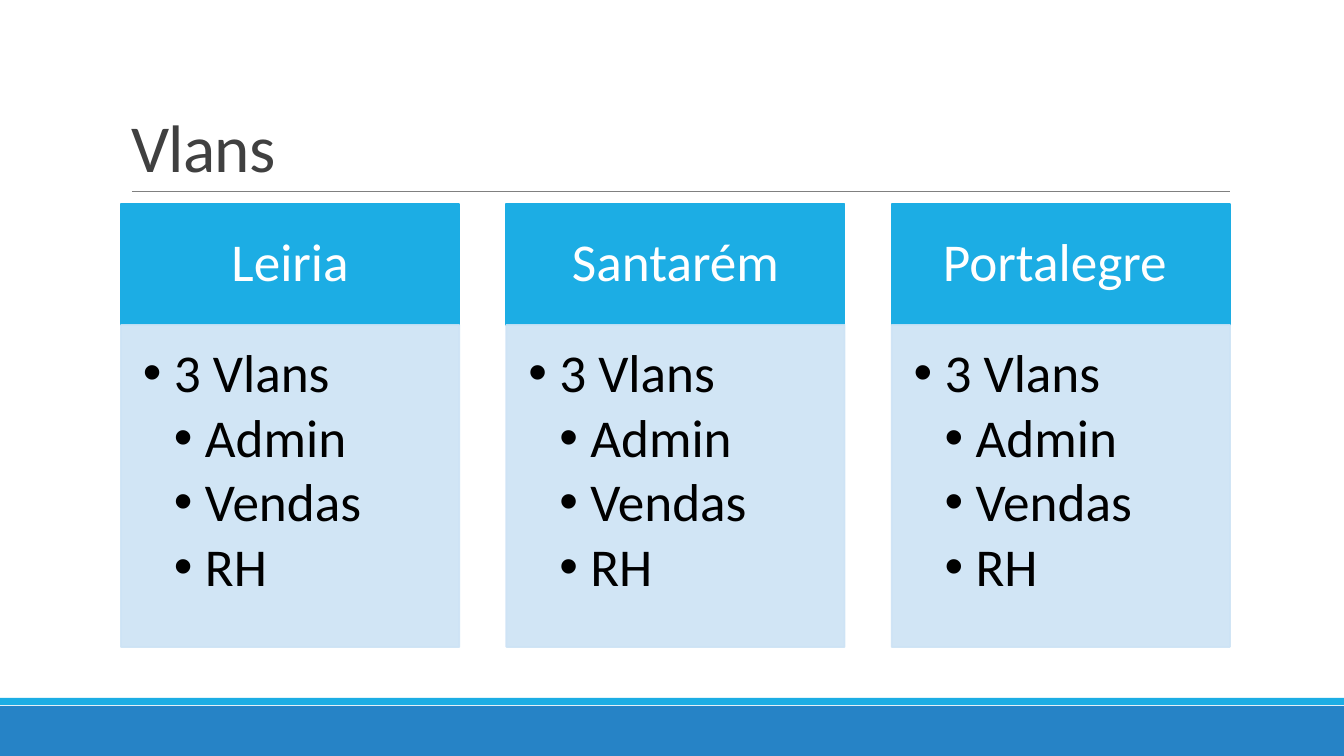
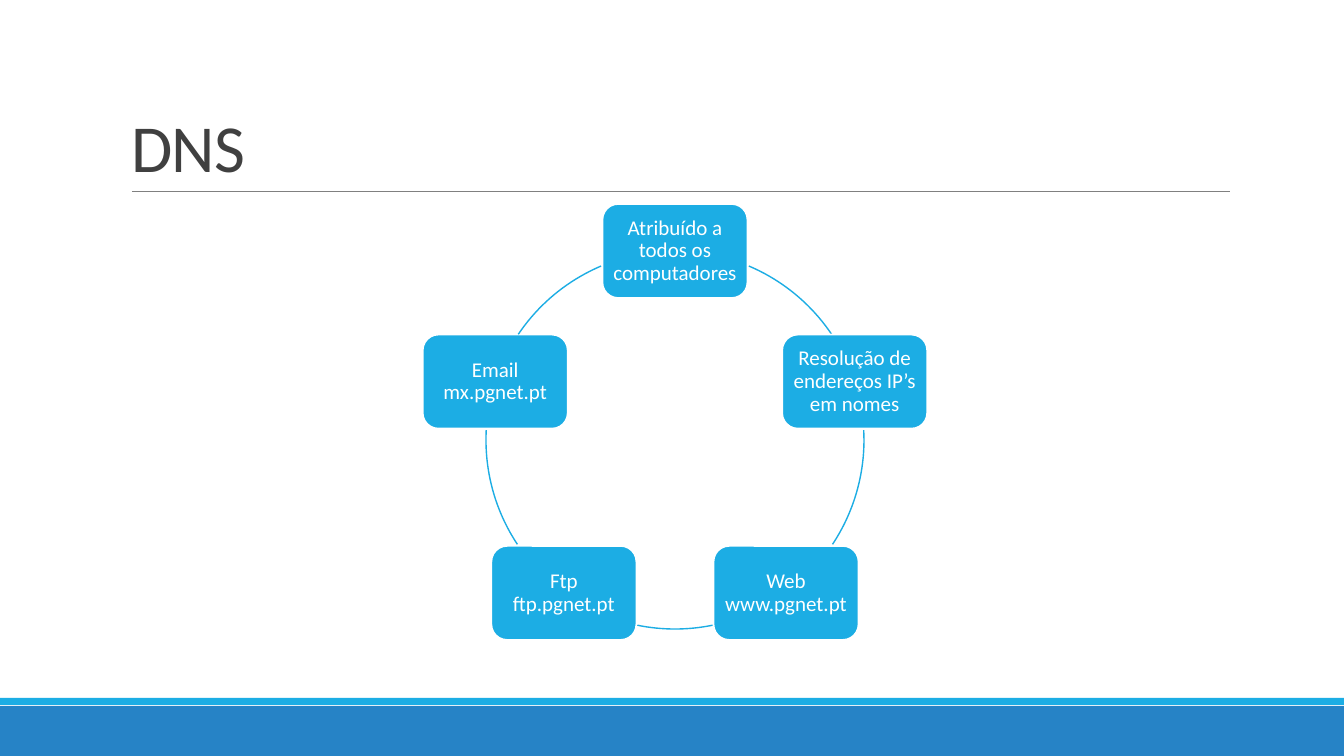
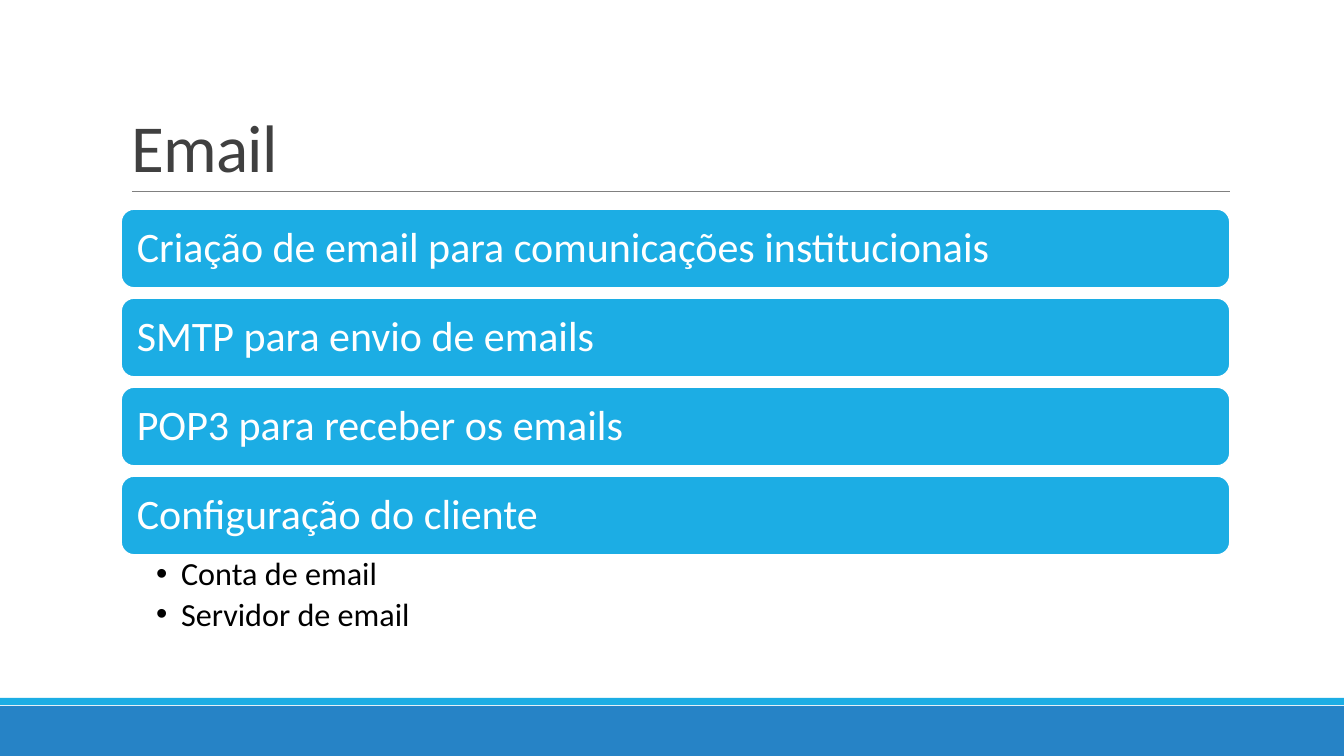
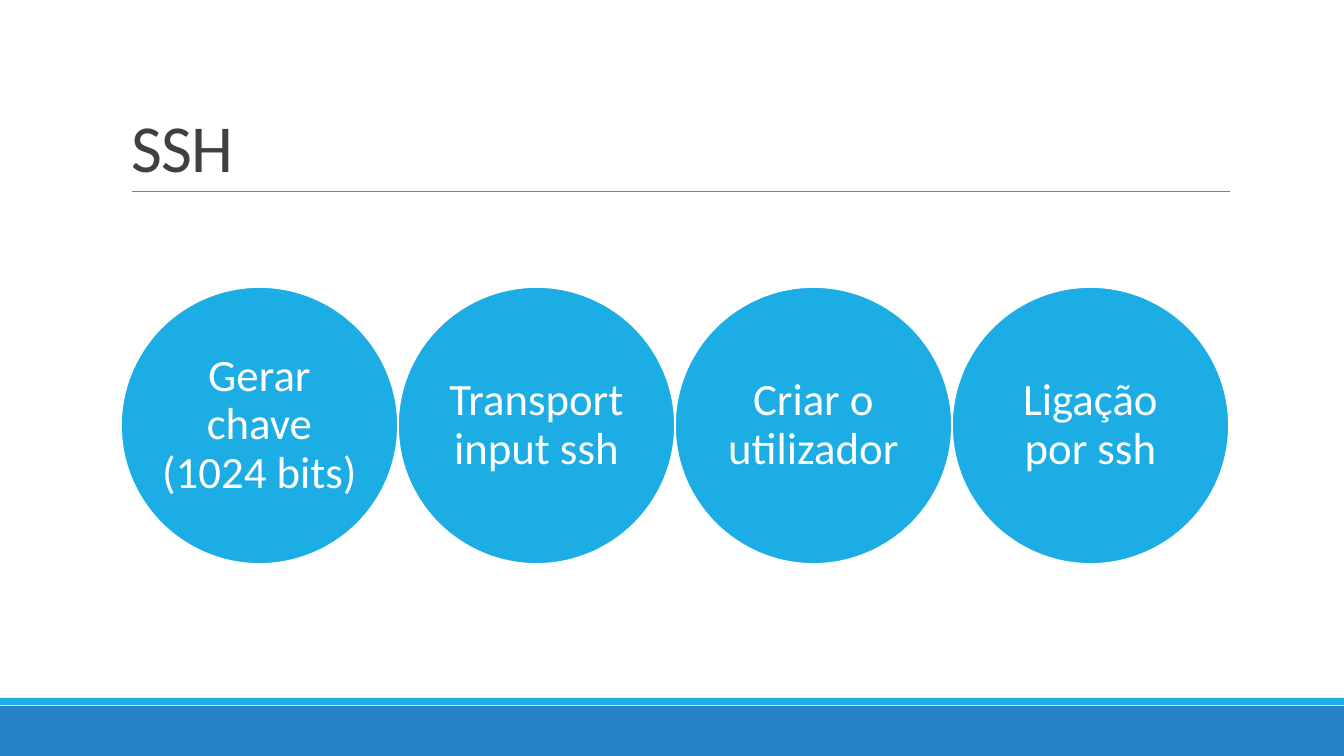
from math import cos, radians, sin

from lxml.etree import SubElement
from pptx import Presentation
from pptx.dml.color import RGBColor
from pptx.enum.shapes import MSO_CONNECTOR, MSO_SHAPE
from pptx.enum.text import MSO_ANCHOR, MSO_AUTO_SIZE, PP_ALIGN
from pptx.oxml import parse_xml
from pptx.oxml.ns import nsdecls, qn
from pptx.util import Pt

PX = 914400 / 100.8
FONT = "Calibri"
COLORS = {
    "accent": "1CADE4",
    "band": "2683C6",
    "panel": "CDE3F5",
    "rule": "808080",
    "title": "404040",
    "white": "FFFFFF",
    "black": "000000",
}
TITLE_AND_CONTENT, TITLE_ONLY = 1, 5


def px(n):
    return round(n * PX)


def rgb(name):
    return RGBColor.from_string(COLORS[name])


def place(sp, x, y, w, h):
    sp.left, sp.top, sp.width, sp.height = px(x), px(y), px(w), px(h)


def add_box(slide, kind, box, fill=None, line=None, width=1.25):
    sp = slide.shapes.add_shape(kind, *map(px, box))
    sp.shadow.inherit = False
    if fill:
        sp.fill.solid()
        sp.fill.fore_color.rgb = rgb(fill)
    else:
        sp.fill.background()
    if line:
        sp.line.color.rgb = rgb(line)
        sp.line.width = Pt(width)
    else:
        sp.line.fill.background()
    return sp


def set_frame(sp, insets, anchor):
    tf = sp.text_frame
    tf.word_wrap = True
    tf.auto_size = MSO_AUTO_SIZE.NONE
    tf.vertical_anchor = anchor
    tf.margin_left, tf.margin_top, tf.margin_right, tf.margin_bottom = map(px, insets)
    return tf


def write(p, text, size, color, align=PP_ALIGN.LEFT, after=0):
    p.alignment = align
    p.line_spacing = 0.9
    p.space_before = Pt(0)
    p.space_after = Pt(after)
    r = p.add_run()
    r.text = text
    r.font.name = FONT
    r.font.size = Pt(size)
    r.font.color.rgb = rgb(color)


def add_label(sp, text, size, inset, align=PP_ALIGN.CENTER):
    tf = set_frame(sp, [inset] * 4, MSO_ANCHOR.MIDDLE)
    write(tf.paragraphs[0], text, size, "white", align)


def add_bullets(sp, items, size, insets, indent, after):
    tf = set_frame(sp, insets, MSO_ANCHOR.TOP)
    for i, (level, text) in enumerate(items):
        p = tf.add_paragraph() if i else tf.paragraphs[0]
        write(p, text, size, "black", after=after)
        p.level = level
        pPr = p._p.get_or_add_pPr()
        pPr.set("marL", str(px(indent * (level + 1))))
        pPr.set("indent", str(-px(indent)))
        SubElement(pPr, qn("a:buFont"), typeface="Arial")
        SubElement(pPr, qn("a:buChar"), char="•")


def set_alpha(sp, percent):
    for color in sp.element.spPr.iter(qn("a:srgbClr")):
        SubElement(color, qn("a:alpha"), val=str(percent * 1000))


def style_master(prs, slide):
    master = prs.slide_master
    title = master.placeholders[0]
    place(title, 121, 31, 1109, 160)
    title.text_frame.vertical_anchor = MSO_ANCHOR.BOTTOM
    style = master.element.find(".//" + qn("p:titleStyle"))
    style.replace(style.find(qn("a:lvl1pPr")), parse_xml(
        f'<a:lvl1pPr {nsdecls("a")} algn="l"><a:lnSpc><a:spcPct val="85000"/></a:lnSpc>'
        '<a:spcBef><a:spcPts val="0"/></a:spcBef><a:buNone/>'
        '<a:defRPr sz="4800" spc="-50"><a:solidFill>'
        f'<a:srgbClr val="{COLORS["title"]}"/></a:solidFill>'
        f'<a:latin typeface="{FONT}"/></a:defRPr></a:lvl1pPr>'))

    band = add_box(slide, MSO_SHAPE.RECTANGLE, (0, 706, 1344, 50), "band")
    stripe = add_box(slide, MSO_SHAPE.RECTANGLE, (0, 698, 1344, 7), "accent")
    rule = slide.shapes.add_connector(
        MSO_CONNECTOR.STRAIGHT, px(132), px(191), px(1230), px(191))
    rule.line.color.rgb = rgb("rule")
    rule.line.width = Pt(0.5)
    SubElement(rule.element.spPr, qn("a:effectLst"))
    for i, part in enumerate((band, stripe, rule)):
        master.shapes.element.insert(2 + i, part.element)


def add_slide(prs, title, layout=TITLE_ONLY):
    slide = prs.slides.add_slide(prs.slide_layouts[layout])
    slide.shapes.title.text_frame.paragraphs[0].add_run().text = title
    return slide


def add_columns(slide, box, columns, items, gap=47, head=121):
    x, y, w, h = box
    col_w = (w - gap * (len(columns) - 1)) / len(columns)
    for i, name in enumerate(columns):
        left = x + i * (col_w + gap)
        header = add_box(slide, MSO_SHAPE.RECTANGLE, (left, y, col_w, head), "accent", "accent")
        add_label(header, name, 38, 17)
        panel = add_box(slide, MSO_SHAPE.RECTANGLE,
                        (left, y + head, col_w, h - head), "panel", "panel")
        set_alpha(panel, 90)
        add_bullets(panel, items, 38, (22, 22, 30, 33), 31, 5)


def add_cycle(slide, center, radius, labels, arcs, node_w=145, node_h=94):
    cx, cy = center
    for i, (label, (start, end)) in enumerate(zip(labels, arcs)):
        angle = radians(360 / len(labels) * i - 90)
        x = cx + radius * cos(angle) - node_w / 2
        y = cy + radius * sin(angle) - node_h / 2
        node = add_box(slide, MSO_SHAPE.ROUNDED_RECTANGLE,
                       (x, y, node_w, node_h), "accent", "white")
        add_label(node, label, 15, 5)
        arc = add_box(slide, MSO_SHAPE.ARC,
                      (cx - radius, cy - radius, 2 * radius, 2 * radius),
                      line="accent", width=1)
        arc.adjustments[0] = start * 0.6
        arc.adjustments[1] = end * 0.6


def add_bars(slide, box, labels, pitch):
    x, y, w, h = box
    for i, label in enumerate(labels):
        bar = add_box(slide, MSO_SHAPE.ROUNDED_RECTANGLE,
                      (x, y + i * pitch, w, h), "accent", "white")
        add_label(bar, label, 30, 12, PP_ALIGN.LEFT)


def add_circles(slide, x, y, size, labels):
    for i, label in enumerate(labels):
        circle = add_box(slide, MSO_SHAPE.OVAL, (x + i * size, y, size, size), "accent", "white")
        add_label(circle, label, 32, 0)


prs = Presentation()
prs.slide_width, prs.slide_height = px(1344), px(756)

vlans = add_slide(prs, "Vlans")
style_master(prs, vlans)
add_columns(vlans, (121, 204, 1109, 443), ["Leiria", "Santarém", "Portalegre "],
            [(0, "3 Vlans"), (1, "Admin"), (1, "Vendas"), (1, "RH")])

dns = add_slide(prs, "DNS")
add_cycle(dns, (675, 440), 189,
          ["Atribuído a todos os computadores",
           "Resolução de endereços IP’s em nomes",
           "Web www.pgnet.pt", "Ftp ftp.pgnet.pt", "Email mx.pgnet.pt"],
          [(293, 326), (357, 33.5), (78.5, 101.5), (146.5, 183), (214, 247)])

email = add_slide(prs, "Email", TITLE_AND_CONTENT)
add_bars(email, (121, 209, 1109, 79),
         ["Criação de email para comunicações institucionais",
          "SMTP para envio de emails", "POP3 para receber os emails",
          "Configuração do cliente"], 89)
body = email.placeholders[1]
place(body, 121, 554, 1109, 88)
add_bullets(body, [(0, "Conta de email"), (0, "Servidor de email")],
            23, (35, 4, 23, 4), 25, 4)

ssh = add_slide(prs, "SSH")
add_circles(ssh, 121, 287, 277,
            ["Gerar chave (1024 bits)", "Transport input ssh",
             "Criar o utilizador", "Ligação por ssh"])

prs.save("out.pptx")
